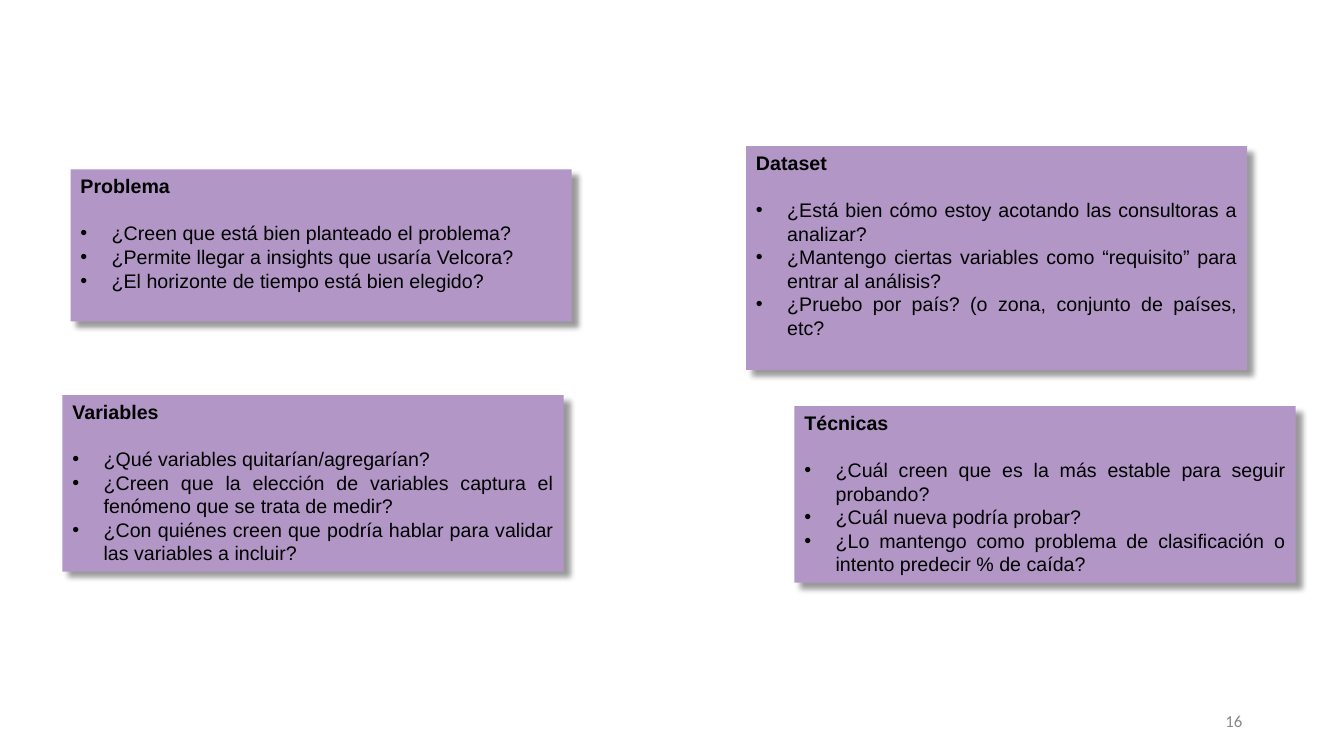
import pptx
import pptx.dml.color
import pptx.enum.shapes
import pptx.enum.text
import pptx.oxml
import pptx.oxml.ns
import pptx.util
from pptx.util import Inches

ALIGN = pptx.enum.text.PP_ALIGN
ANCHOR = pptx.enum.text.MSO_ANCHOR
NS = pptx.oxml.ns.nsdecls("a")
CARD_WIDTH = 4.97
INDENT = Inches(0.31)

CARDS = [
    (0.7, 1.68, 1.51, "Problema", [
        "¿Creen que está bien planteado el problema?",
        "¿Permite llegar a insights que usaría Velcora?",
        "¿El horizonte de tiempo está bien elegido?",
    ]),
    (0.62, 3.92, 1.75, "Variables", [
        "¿Qué variables quitarían/agregarían?",
        "¿Creen que la elección de variables captura el fenómeno que se trata de medir?",
        "¿Con quiénes creen que podría hablar para validar las variables a incluir?",
    ]),
    (7.4, 1.45, 2.22, "Dataset", [
        "¿Está bien cómo estoy acotando las consultoras a analizar?",
        "¿Mantengo ciertas variables como “requisito” para entrar al análisis?",
        "¿Pruebo por país? (o zona, conjunto de países, etc?",
    ]),
    (7.88, 4.03, 1.75, "Técnicas", [
        "¿Cuál creen que es la más estable para seguir probando?",
        "¿Cuál nueva podría probar?",
        "¿Lo mantengo como problema de clasificación o intento predecir % de caída?",
    ]),
]


def rgb(color):
    return pptx.dml.color.RGBColor.from_string(color)


def write(p, text, size, font, color, align, bold=False):
    p.text = text
    p.alignment = align
    f = p.runs[0].font
    f.size = pptx.util.Pt(size)
    f.name = font
    f.bold = bold
    f.color.rgb = rgb(color)


def add_bullet(p):
    pPr = p._p.get_or_add_pPr()
    pPr.set("marL", str(INDENT))
    pPr.set("indent", str(-INDENT))
    pPr.append(pptx.oxml.parse_xml(f'<a:buFont {NS} typeface="Arial"/>'))
    pPr.append(pptx.oxml.parse_xml(f'<a:buChar {NS} char="•"/>'))


def add_shadow(sp):
    sp.shadow.inherit = False
    effects = sp._element.spPr.find(pptx.oxml.ns.qn("a:effectLst"))
    effects.append(pptx.oxml.parse_xml(
        f'<a:outerShdw {NS} blurRad="{pptx.util.Pt(4)}" dist="{pptx.util.Pt(6)}" '
        'dir="2700000" algn="tl" rotWithShape="0">'
        '<a:srgbClr val="000000"><a:alpha val="40000"/></a:srgbClr></a:outerShdw>'))


def add_card(s, left, top, height, heading, questions):
    sp = s.shapes.add_shape(pptx.enum.shapes.MSO_SHAPE.RECTANGLE, Inches(left),
                            Inches(top), Inches(CARD_WIDTH), Inches(height))
    sp.fill.solid()
    sp.fill.fore_color.rgb = rgb("B196C6")
    sp.line.fill.background()
    add_shadow(sp)
    tf = sp.text_frame
    tf.word_wrap = True
    tf.vertical_anchor = ANCHOR.TOP
    p = tf.paragraphs[0]
    write(p, heading, 14, "Arial", "000000", ALIGN.JUSTIFY, bold=True)
    p.space_after = pptx.util.Pt(16.8)
    for question in questions:
        p = tf.add_paragraph()
        write(p, question, 14, "Arial", "000000", ALIGN.JUSTIFY)
        add_bullet(p)


def add_page_number(s, number):
    sp = s.shapes.add_textbox(Inches(9.42), Inches(6.95), Inches(3), Inches(0.4))
    tf = sp.text_frame
    tf.word_wrap = True
    tf.vertical_anchor = ANCHOR.MIDDLE
    write(tf.paragraphs[0], number, 12, "Calibri", "888888", ALIGN.RIGHT)


def main():
    prs = pptx.Presentation()
    prs.slide_width = Inches(13.33)
    prs.slide_height = Inches(7.5)
    s = prs.slides.add_slide(prs.slide_layouts[6])
    add_page_number(s, "16")
    for card in CARDS:
        add_card(s, *card)
    prs.save("out.pptx")


if __name__ == "__main__":
    main()
